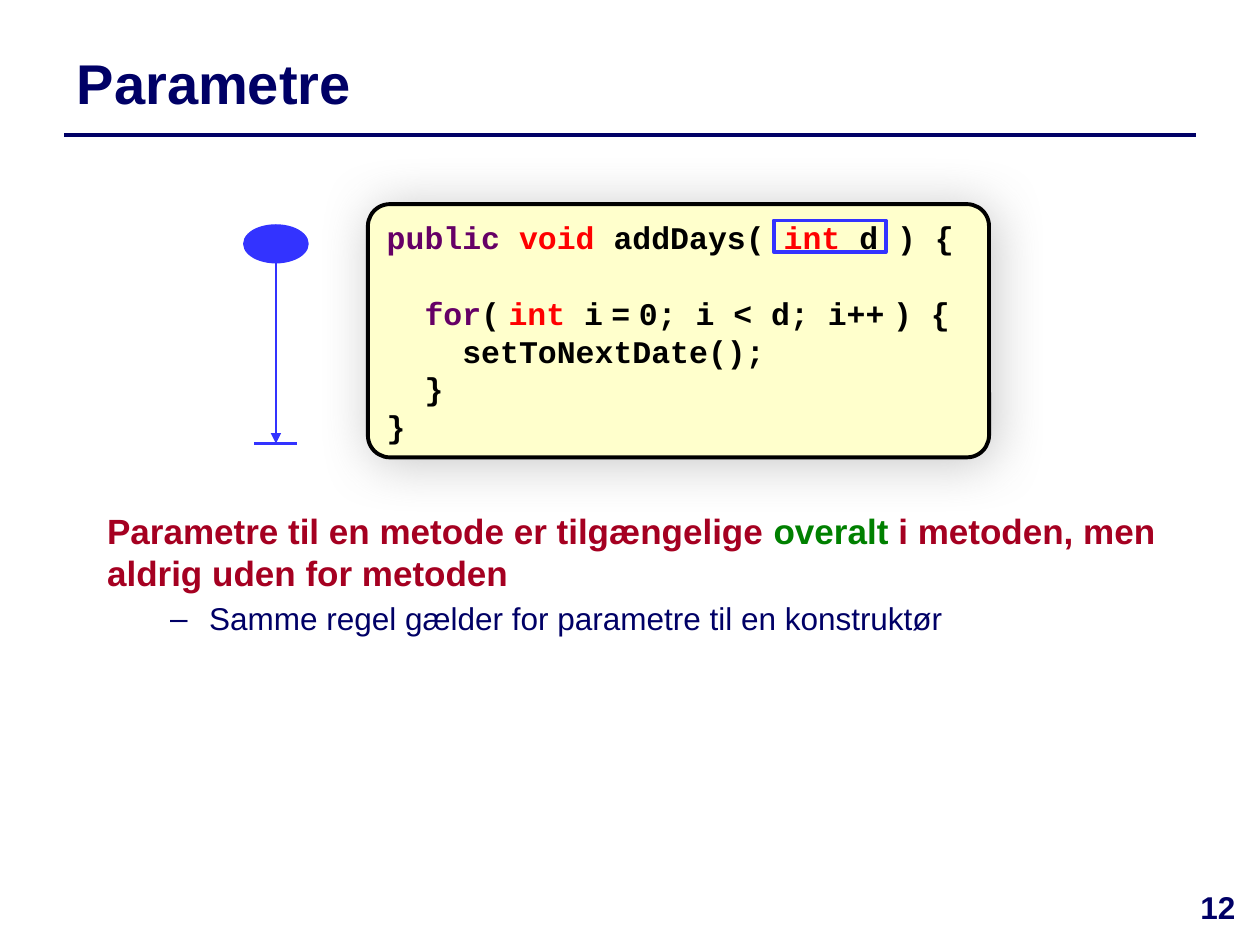
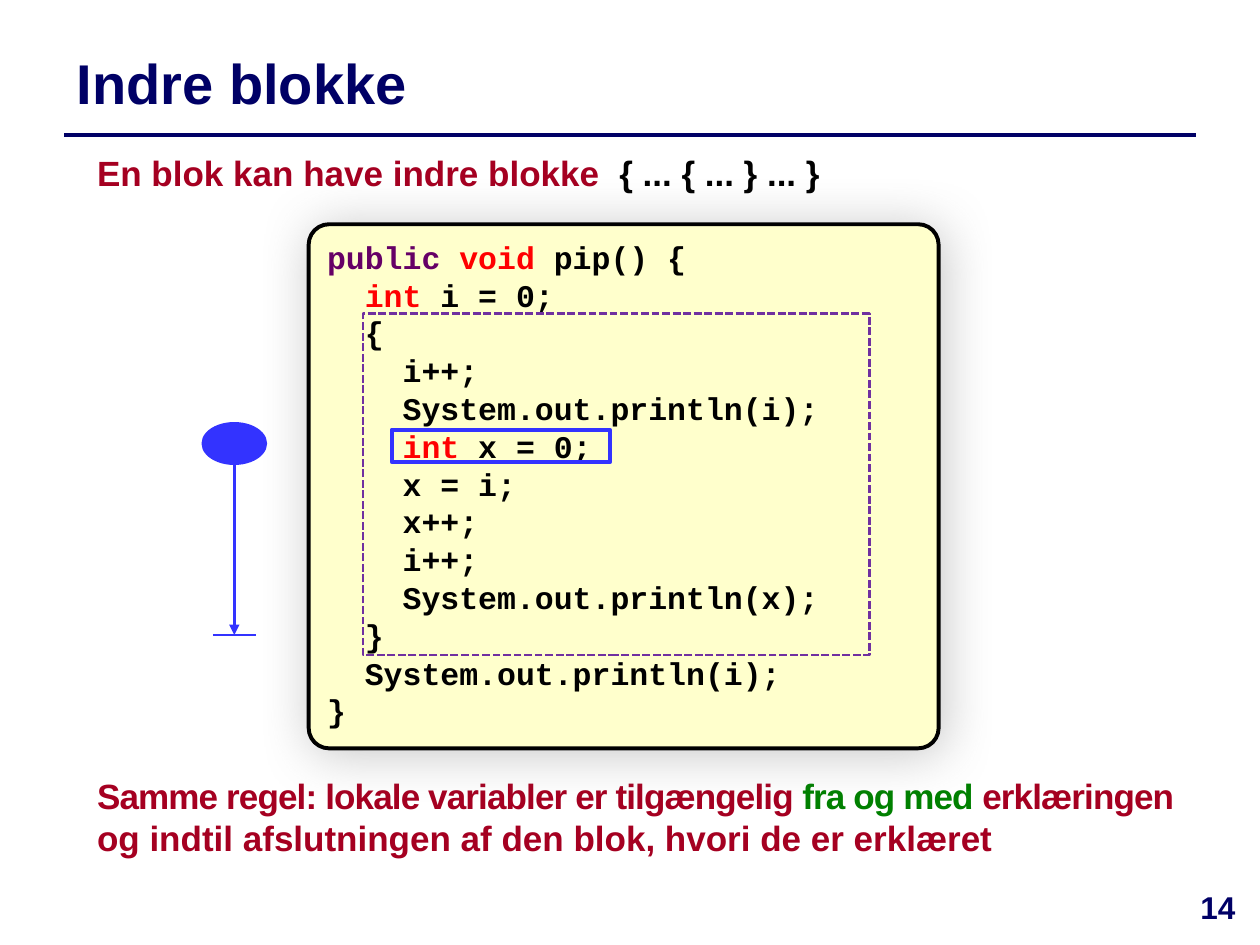
"""Build two slides on the scope of parameters and of variables in inner blocks."""
import lxml.etree
import pptx
import pptx.dml.color
import pptx.enum.dml
import pptx.enum.shapes
import pptx.enum.text
import pptx.oxml.ns
import pptx.util

HUES = {"navy": "000066", "blue": "3333FF", "wine": "A50021", "green": "008000",
        "key": "660066", "type": "FF0000", "ink": "000000", "cream": "FFFFCC",
        "violet": "7030A0", "gray": "808080"}
FORMS = {
    "title": {"name": "Arial", "size": 32, "bold": True},
    "main": {"name": "Arial", "size": 20, "bold": True},
    "sub": {"name": "Arial", "size": 18, "bold": False},
    "page": {"name": "Arial", "size": 18, "bold": True},
    "code": {"name": "Courier New", "size": 18, "bold": True},
    "thin": {"name": "Courier New", "size": 8, "bold": True},
}
COLS, ROWS = 100, 75
PITCH = 21.6
THIN = (" ", "ink", "thin")

SLIDES = [
    {"title": "Parametre", "page": "12", "layout": 1,
     "panel": (29.2, 16.2, 49.3, 20.1), "curve": 0.087,
     "code": [
         (0, [("public ", "key"), ("void ", "type"), ("addDays( ", "ink"),
              ("int", "type"), (" d ) {", "ink")]),
         (0, []),
         (1, [("for", "key"), ("(", "ink"), THIN, ("int ", "type"), ("i", "ink"), THIN,
              ("=", "ink"), THIN, ("0; i < d; i++", "ink"), THIN, (") {", "ink")]),
         (2, [("setToNextDate();", "ink")]),
         (1, [("}", "ink")]),
         (0, [("}", "ink")])],
     "frames": [((61.4, 17.5, 8.9, 2.5), "blue", 2.25, False)],
     "scope": (21.9, 17.9, 2.9, 35.2),
     "bodies": [((7.5, 39.9, 90.6, 11.6), [
         ("main", 0, [("Parametre til en metode er tilgængelige ", "wine"),
                      ("overalt ", "green"),
                      ("i metoden, men aldrig uden for metoden", "wine")]),
         ("sub", 0, [("Samme regel gælder for parametre til en konstruktør", "navy")])])]},
    {"title": "Indre blokke", "page": "14", "layout": 3,
     "panel": (24.5, 17.8, 50, 41.6), "curve": 0.039,
     "code": [
         (0, [("public ", "key"), ("void", "type"), (" pip() {", "ink")]),
         (1, [("int ", "type"), ("i = 0;", "ink")]),
         (1, [("{", "ink")]),
         (2, [("i++;", "ink")]),
         (2, [("System.out.println(i);", "ink")]),
         (2, [("int ", "type"), ("x = 0;", "ink")]),
         (2, [("x = i;", "ink")]),
         (2, [("x++;", "ink")]),
         (2, [("i++;", "ink")]),
         (2, [("System.out.println(x);", "ink")]),
         (1, [("}", "ink")]),
         (1, [("System.out.println(i);", "ink")]),
         (0, [("}", "ink")])],
     "frames": [((31.1, 34.1, 17.3, 2.6), "blue", 2.25, False),
                ((28.8, 24.9, 40.2, 27.1), "violet", 1.5, True)],
     "scope": (18.6, 33.6, 3.2, 50.4),
     "bodies": [
         ((6.7, 11.5, 86.6, 4.4), [
             ("main", 0, [("En blok kan have indre blokke  ", "wine"),
                          ("{ ... { ... } ... }", "ink")])]),
         ((6.7, 61, 88.2, 7.7), [
             ("main", -50, [("Samme regel: lokale variabler er tilgængelig ", "wine"),
                            ("fra og med ", "green"), ("erklæringen", "wine")]),
             ("join", 0, [(" og indtil afslutningen af den blok, hvori de er erklæret",
                           "wine")])])]},
]

deck = pptx.Presentation()
deck.slide_width, deck.slide_height = pptx.util.Inches(10), pptx.util.Inches(7.5)
Pt, Inches = pptx.util.Pt, pptx.util.Inches
KIND = pptx.enum.shapes.MSO_SHAPE
ALIGN = pptx.enum.text.PP_ALIGN
ANCHOR = pptx.enum.text.MSO_ANCHOR


def rgb(hue):
    """Turn a hue name into a colour."""
    return pptx.dml.color.RGBColor.from_string(HUES[hue])


def grid(box):
    """Turn grid columns and rows into slide lengths."""
    units = (deck.slide_width / COLS, deck.slide_height / ROWS) * 2
    return [round(n * unit) for n, unit in zip(box, units)]


def add(node, tag, **keys):
    """Append a drawing element with its attributes."""
    item = lxml.etree.SubElement(node, pptx.oxml.ns.qn("a:" + tag))
    for key, val in keys.items():
        item.set(key, str(val))
    return item


def style(item, **vals):
    """Set attributes from a dict."""
    for key, val in vals.items():
        setattr(item, key, val)


def write(para, runs, form, space=0):
    """Add coloured runs to a paragraph."""
    for text, hue, *own in runs:
        run = para.add_run()
        run.text = text
        look = FORMS[own[0] if own else form]
        style(run.font, **{**look, "size": Pt(look["size"])})
        run.font.color.rgb = rgb(hue)
        if space:
            run.font._element.set("spc", str(space))


def indent(para, left, hang=0, mark=None):
    """Set the left margin, hanging indent and bullet."""
    props = para._p.get_or_add_pPr()
    props.set("marL", str(Inches(left)))
    props.set("indent", str(Inches(hang)))
    if mark:
        add(props, "buChar", char=mark)
    else:
        add(props, "buNone")


def place(shape, box, anchor=ANCHOR.TOP):
    """Move a text shape and return its wrapped frame."""
    style(shape, **dict(zip(("left", "top", "width", "height"), grid(box))))
    style(shape.text_frame, word_wrap=True, vertical_anchor=anchor,
          auto_size=pptx.enum.text.MSO_AUTO_SIZE.NONE)
    return shape.text_frame


def form(home, kind, box, fill, edge, width):
    """Add a preset shape without shadow."""
    shape = home.add_shape(kind, *grid(box))
    shape.shadow.inherit = False
    if fill:
        shape.fill.solid()
        shape.fill.fore_color.rgb = rgb(fill)
    else:
        shape.fill.background()
    shape.line.color.rgb = rgb(edge)
    shape.line.width = Pt(width)
    return shape


def stroke(home, ends, hue, width, arrow=False):
    """Add a straight line."""
    line = home.add_connector(pptx.enum.shapes.MSO_CONNECTOR.STRAIGHT, *grid(ends))
    line.line.color.rgb = rgb(hue)
    line.line.width = Pt(width)
    if arrow:
        add(line.line._get_or_add_ln(), "tailEnd", type="triangle")
    add(line._element.spPr, "effectLst")


def panel(home, box, curve, code):
    """Add the code panel with its soft shadow."""
    shape = form(home, KIND.ROUNDED_RECTANGLE, box, "cream", "ink", 2.25)
    shape.adjustments[0] = curve
    glow = add(shape._element.spPr.find(pptx.oxml.ns.qn("a:effectLst")), "outerShdw",
               blurRad=Pt(30), dist=Pt(3), dir=45 * 60000, algn="ctr", rotWithShape=0)
    add(add(glow, "srgbClr", val=HUES["gray"]), "alpha", val=43000)
    frame = place(shape, box)
    style(frame, margin_left=Inches(0.1), margin_right=0, margin_top=Inches(0.06))
    gap, first = 0, True
    for level, runs in code:
        if not runs:
            gap += PITCH
            continue
        para = frame.paragraphs[0] if first else frame.add_paragraph()
        style(para, alignment=ALIGN.LEFT, line_spacing=Pt(PITCH), space_before=Pt(gap))
        indent(para, level * 0.3)
        write(para, runs, "code")
        gap, first = 0, False


def scope(home, mid, top, high, end):
    """Add the grouped marker that spans the scope of a name."""
    group = home.add_group_shape().shapes
    form(group, KIND.OVAL, (mid - 2.5, top, 5, high), "blue", "blue", 1.5)
    stroke(group, (mid, top + high, mid, end), "blue", 1.5, True)
    stroke(group, (mid - 1.7, end, mid + 1.7, end), "blue", 1.5)


def body(shape, box, items):
    """Fill a body placeholder with main and sub points."""
    frame = place(shape, box)
    para = frame.paragraphs[0]
    for num, (role, space, runs) in enumerate(items):
        if role == "join":
            write(para, runs, "main")
            continue
        para = frame.add_paragraph() if num else para
        sub = role == "sub"
        style(para, level=int(sub), alignment=ALIGN.LEFT, space_before=Pt(6 * sub),
              line_spacing=0.9 if sub else Pt(24))
        indent(para, *((0.81, -0.31, "–") if sub else (0,)))
        write(para, runs, role, space)


def build(data):
    """Build one slide from its data."""
    slide = deck.slides.add_slide(deck.slide_layouts[data["layout"]])
    home = slide.shapes
    stroke(home, (5.1, 10.7, 94.9, 10.7), "navy", 2)
    head = place(home.title, (5.1, 2.8, 89.8, 7.5), ANCHOR.MIDDLE).paragraphs[0]
    head.alignment = ALIGN.LEFT
    write(head, [(data["title"], "navy")], "title")
    panel(home, data["panel"], data["curve"], data["code"])
    for box, hue, width, dash in data["frames"]:
        frame = form(home, KIND.RECTANGLE, box, None, hue, width)
        if dash:
            frame.line.dash_style = pptx.enum.dml.MSO_LINE.SQUARE_DOT
    scope(home, *data["scope"])
    slots = list(slide.placeholders)[1:]
    for slot, (box, items) in zip(slots, data["bodies"]):
        body(slot, box, items)
    spot = (93.1, 70, 7.1, 5)
    foot = place(home.add_textbox(*grid(spot)), spot).paragraphs[0]
    foot.alignment = ALIGN.CENTER
    write(foot, [(data["page"], "navy")], "page")


for data in SLIDES:
    build(data)
deck.save("out.pptx")
